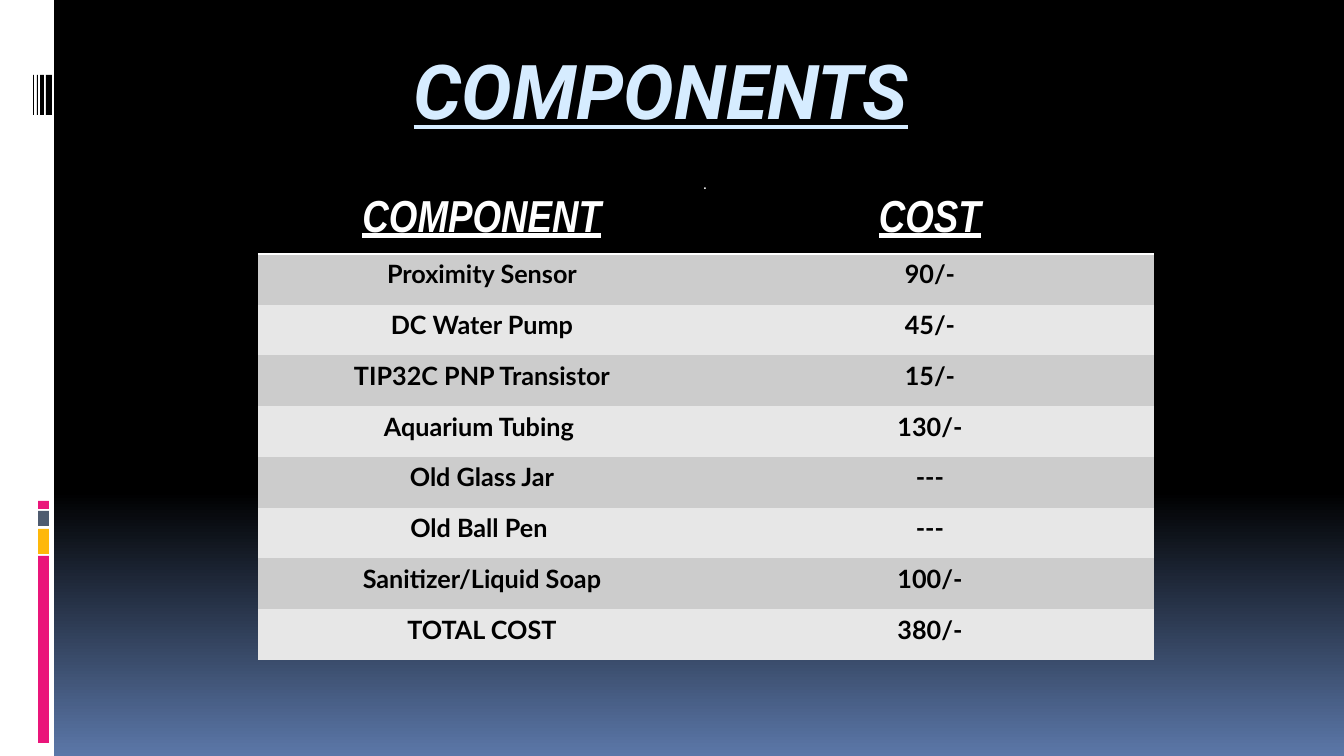
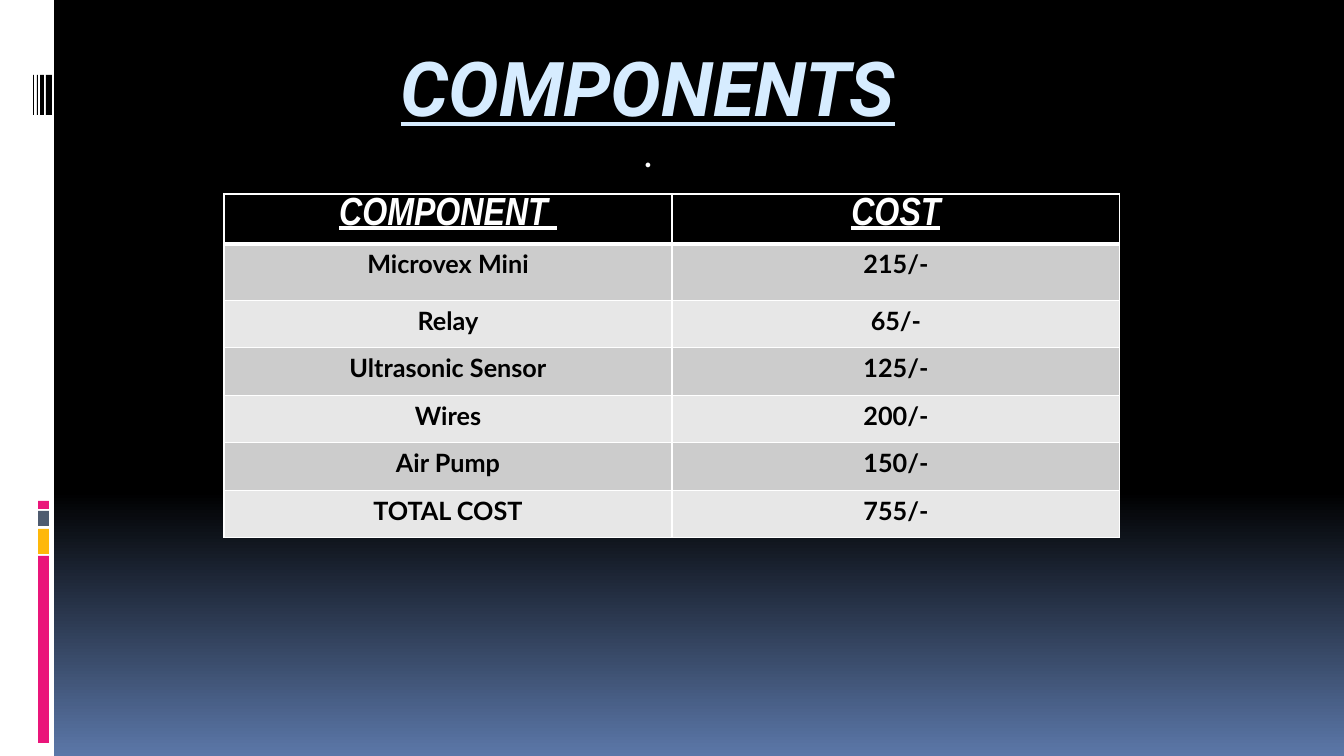
from dataclasses import dataclass

from lxml.etree import SubElement
from pptx import Presentation
from pptx.dml.color import RGBColor
from pptx.enum.shapes import MSO_SHAPE
from pptx.enum.text import MSO_ANCHOR, PP_ALIGN
from pptx.oxml.ns import qn
from pptx.util import Emu, Pt


@dataclass(frozen=True)
class Theme:
    white: str = "FFFFFF"
    black: str = "000000"
    horizon: str = "5B77A8"
    pink: str = "EA157A"
    amber: str = "FEB80A"
    slate: str = "4E5B6F"
    ice: str = "D6ECFF"
    bands: tuple = ("CCCCCC", "E7E7E7")
    title_font: str = "Roboto"
    header_font: str = "Arial Narrow"
    body_font: str = "Lato"
    dot_font: str = "Calibri"
    title_size: int = 54
    body_size: int = 18


THEME = Theme()
PX = 914400 / 100.8


def px(length):
    return Emu(round(length * PX))


def write(frame, text, *, font, size, color, bold=False, slanted=False,
          anchor=MSO_ANCHOR.TOP):
    """Set centred text; slanted means italic and underlined."""
    frame.word_wrap = True
    frame.vertical_anchor = anchor
    paragraph = frame.paragraphs[0]
    paragraph.alignment = PP_ALIGN.CENTER
    run = paragraph.add_run()
    run.text = text
    run.font.name = font
    run.font.size = Pt(size)
    run.font.color.rgb = RGBColor.from_string(color)
    run.font.bold = bold
    run.font.italic = slanted
    run.font.underline = slanted


# Left rail: left, top, width, height, colour
RAIL = [(0, 0, 54, 756, THEME.white)]
RAIL += [(left, 75, width, 40, THEME.black)
         for left, width in ((46, 6), (40, 4), (37, 1), (33, 1))]
RAIL += [(38, top, 11, height, color) for top, height, color in (
    (556, 187, THEME.pink), (529, 25, THEME.amber),
    (511, 15, THEME.slate), (501, 8, THEME.pink))]

# Slide content; boxes are left, top, width, height
SLIDES = [
    dict(
        title_box=(157, 44, 1008, 90),
        dot_box=(134, 173, 1142, 25), dot_size=11,
        table_box=(258, 200, 896, 457), first_row_extra=0,
        header_size=32, header_inset=0, grid_line=0, header_line=2,
        costs=[
            ("COMPONENT", "COST"),
            ("Proximity Sensor", "90/-"),
            ("DC Water Pump", "45/-"),
            ("TIP32C PNP Transistor", "15/-"),
            ("Aquarium Tubing ", "130/-"),
            ("Old Glass Jar", "---"),
            ("Old Ball Pen ", "---"),
            ("Sanitizer/Liquid Soap", "100/-"),
            ("TOTAL COST", "380/-"),
        ],
    ),
    dict(
        title_box=(144, 41, 1008, 90),
        dot_box=(144, 151, 1008, 29), dot_size=28,
        table_box=(224, 194, 896, 341), first_row_extra=9,
        header_size=28, header_inset=3, grid_line=1, header_line=3,
        costs=[
            ("COMPONENT ", "COST"),
            ("Microvex Mini", "215/-"),
            ("Relay", "65/-"),
            ("Ultrasonic Sensor", "125/-"),
            ("Wires", "200/-"),
            ("Air Pump", "150/-"),
            ("TOTAL COST", "755/-"),
        ],
    ),
]

deck = Presentation()
deck.slide_width, deck.slide_height = px(1344), px(756)

# Shared background: black down to 65 %, then fading to blue
backdrop = deck.slide_master.background.fill
backdrop.gradient()
backdrop.gradient_angle = 270
for stop, position, color in zip(backdrop.gradient_stops, (0.65, 1),
                                 (THEME.black, THEME.horizon)):
    stop.position = position
    stop.color.rgb = RGBColor.from_string(color)

for content in SLIDES:
    slide = deck.slides.add_slide(deck.slide_layouts[6])

    # Rail
    for *box, color in RAIL:
        bar = slide.shapes.add_shape(MSO_SHAPE.RECTANGLE, *map(px, box))
        bar.shadow.inherit = False
        bar.fill.solid()
        bar.fill.fore_color.rgb = RGBColor.from_string(color)
        bar.line.fill.background()

    # Title
    title = slide.shapes.add_textbox(*map(px, content["title_box"])).text_frame
    title.margin_top = title.margin_bottom = 0
    write(title, "COMPONENTS", font=THEME.title_font, size=THEME.title_size,
          color=THEME.ice, bold=True, slanted=True)

    # Dot below the title
    dot = slide.shapes.add_textbox(*map(px, content["dot_box"])).text_frame
    write(dot, ".", font=THEME.dot_font, size=content["dot_size"],
          color=THEME.white, anchor=MSO_ANCHOR.BOTTOM)

    # Cost table
    costs = content["costs"]
    cost_table = slide.shapes.add_table(
        len(costs), 2, *map(px, content["table_box"])).table
    cost_table.first_row = cost_table.horz_banding = False
    extra = content["first_row_extra"]
    row_height = (content["table_box"][3] - extra) / len(costs)

    for row, entries in enumerate(costs):
        is_header = row == 0
        cost_table.rows[row].height = px(row_height + extra * (row == 1))
        grid, rule = content["grid_line"], content["header_line"]
        borders = dict(lnL=grid, lnR=grid, lnT=rule if row == 1 else grid,
                       lnB=rule if is_header else grid)
        for column, entry in enumerate(entries):
            cell = cost_table.cell(row, column)
            properties = cell._tc.get_or_add_tcPr()
            for side, width in borders.items():
                line = SubElement(properties, qn(f"a:{side}"), w=str(Pt(width)))
                if width:
                    paint = SubElement(line, qn("a:solidFill"))
                    SubElement(paint, qn("a:srgbClr"), val=THEME.white)
                else:
                    SubElement(line, qn("a:noFill"))
            cell.fill.solid()
            cell.fill.fore_color.rgb = RGBColor.from_string(
                THEME.black if is_header else THEME.bands[(row - 1) % 2])
            if is_header:
                cell.margin_top = px(content["header_inset"])
                cell.margin_bottom = 0
                write(cell.text_frame, entry, font=THEME.header_font,
                      size=content["header_size"], color=THEME.white,
                      bold=True, slanted=True)
            else:
                write(cell.text_frame, entry, font=THEME.body_font,
                      size=THEME.body_size, color=THEME.black, bold=True)

deck.save("out.pptx")
